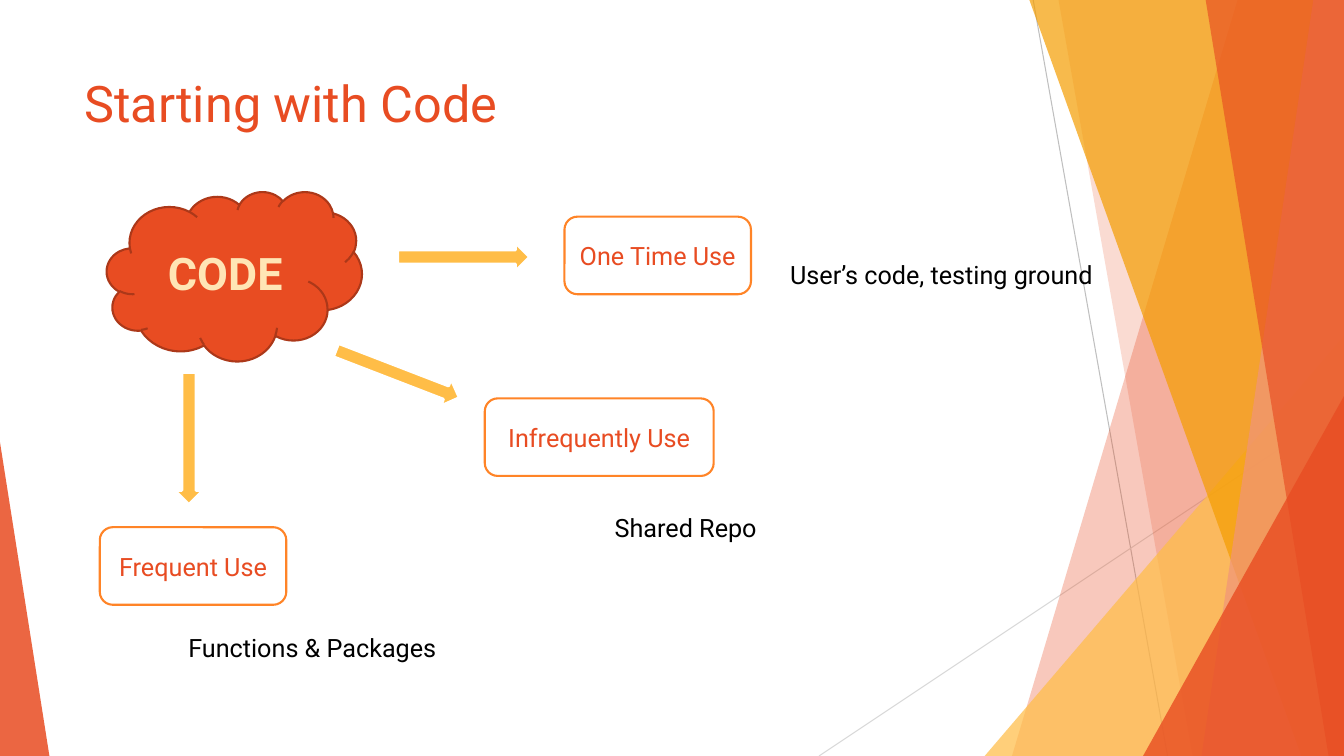
import pptx
import pptx.dml.color
import pptx.enum.shapes
import pptx.enum.text
import pptx.oxml.ns
import pptx.util
from dataclasses import dataclass
from typing import Any
from lxml import etree

Pt = pptx.util.Pt
Shape = pptx.enum.shapes.MSO_SHAPE
Align = pptx.enum.text.PP_ALIGN
Anchor = pptx.enum.text.MSO_ANCHOR
qn = pptx.oxml.ns.qn


@dataclass(frozen=True)
class Theme:
    font: str = "Roboto"
    title_size: float = 36
    cloud_size: float = 32
    body_size: float = 18
    red: str = "E84C22"
    dark_red: str = "AC3819"
    salmon: str = "F1947A"
    orange: str = "FF8427"
    amber: str = "F49D00"
    yellow: str = "FFBD47"
    cream: str = "FFE5B5"
    white: str = "FFFFFF"
    black: str = "000000"
    gray: str = "BFBFBF"
    light_gray: str = "D9D9D9"


THEME = Theme()
WIDTH, HEIGHT = 960, 540
FACET_TOP = -0.6


@dataclass(frozen=True)
class Ray:
    start: tuple[float, float]
    end: tuple[float, float]
    color: str


@dataclass(frozen=True)
class Facet:
    top_left: float
    bottom_left: float
    color: str
    opacity: int


@dataclass(frozen=True)
class Corner:
    left: float
    top: float
    width: float
    apex: float
    color: str
    opacity: int


@dataclass(frozen=True)
class Arrow:
    left: float
    top: float
    rotation: float


@dataclass(frozen=True)
class UseBox:
    text: str
    left: float
    top: float
    width: float


@dataclass(frozen=True)
class Label:
    text: str
    left: float
    top: float
    width: float
    height: float = 29
    size: float = THEME.body_size
    color: str = THEME.black


RAYS = [
    Ray((738, 0), (834, HEIGHT), THEME.gray),
    Ray((WIDTH, 290), (585, HEIGHT), THEME.light_gray),
]
DECORATION: list[Facet | Corner] = [
    Facet(884.2, 722.9, THEME.red, 30),
    Facet(756, 851.8, THEME.red, 20),
    Corner(703.4, 239.8, 256.6, 1, THEME.yellow, 72),
    Facet(735.1, 929.5, THEME.amber, 70),
    Facet(938.2, 858.2, THEME.salmon, 70),
    Facet(861.1, 949, THEME.red, 65),
    Corner(816.5, 283, 143.5, 1, THEME.red, 80),
    Corner(0, 316, 35.3, 0, THEME.red, 85),
]
ARROWS = [Arrow(284, 173.5, 0), Arrow(87.8, 303.1, 90), Arrow(236.9, 257, 21.1)]
USE_BOXES = [
    UseBox("Infrequently Use", 346.3, 284.6, 163.5),
    UseBox("One Time Use", 403.2, 154.8, 133.2),
    UseBox("Frequent Use", 71.3, 376.6, 133.2),
]
LABELS = [
    Label("Starting with Code", 53.3, 48.2, 676.8, 103.7, THEME.title_size, THEME.red),
    Label("Functions & Packages", 127.4, 447.8, 252.7),
    Label("Shared Repo", 432, 362.2, 125.3),
    Label("User’s code, testing ground", 557.3, 181.4, 252.7),
]


def rgb(color: str) -> Any:
    return pptx.dml.color.RGBColor.from_string(color)


def paint(shape: Any, fill: str, line: str | None = None, width: float = 0) -> None:
    shape.shadow.inherit = False
    shape.fill.solid()
    shape.fill.fore_color.rgb = rgb(fill)
    if line is None:
        shape.line.fill.background()
    else:
        shape.line.color.rgb = rgb(line)
        shape.line.width = Pt(width)


def set_opacity(shape: Any, percent: int) -> None:
    color = shape.element.spPr.find(qn("a:solidFill")).find(qn("a:srgbClr"))
    etree.SubElement(color, qn("a:alpha")).set("val", str(percent * 1000))


def add_shape(page: Any, kind: Any, left: float, top: float, width: float, height: float) -> Any:
    return page.shapes.add_shape(kind, Pt(left), Pt(top), Pt(width), Pt(height))


def write(shape: Any, text: str, size: float, color: str) -> Any:
    shape.text_frame.word_wrap = True
    para = shape.text_frame.paragraphs[0]
    para.text = text
    span = para.runs[0]
    span.font.name = THEME.font
    span.font.size = Pt(size)
    span.font.color.rgb = rgb(color)
    return span


def center(shape: Any) -> None:
    shape.text_frame.vertical_anchor = Anchor.MIDDLE
    shape.text_frame.paragraphs[0].alignment = Align.CENTER


def draw_ray(page: Any, ray: Ray) -> None:
    line = page.shapes.add_connector(
        pptx.enum.shapes.MSO_CONNECTOR.STRAIGHT, *map(Pt, ray.start + ray.end))
    line.line.color.rgb = rgb(ray.color)
    line.line.width = Pt(0.75)
    etree.SubElement(line.element.spPr, qn("a:effectLst"))


def draw_decoration(page: Any, item: Facet | Corner) -> None:
    if isinstance(item, Facet):
        outline = page.shapes.build_freeform(Pt(item.top_left), Pt(FACET_TOP))
        corners = [(WIDTH, FACET_TOP), (WIDTH, HEIGHT), (item.bottom_left, HEIGHT)]
        outline.add_line_segments([(Pt(x), Pt(y)) for x, y in corners], close=True)
        shape = outline.convert_to_shape()
    else:
        shape = add_shape(page, Shape.ISOSCELES_TRIANGLE, item.left, item.top,
                          item.width, HEIGHT - item.top)
        shape.adjustments[0] = item.apex
    paint(shape, item.color)
    set_opacity(shape, item.opacity)


def draw_cloud(page: Any) -> None:
    cloud = add_shape(page, Shape.CLOUD, 76.3, 136.8, 182.2, 121)
    paint(cloud, THEME.red, THEME.dark_red, 1.5)
    span = write(cloud, "CODE", THEME.cloud_size, THEME.cream)
    span.font.bold = True
    center(cloud)
    outline = etree.Element(qn("a:ln"), w=str(Pt(1.75)))
    fill = etree.SubElement(outline, qn("a:solidFill"))
    etree.SubElement(fill, qn("a:srgbClr"), val=THEME.yellow)
    span.font._element.insert(0, outline)


def draw_arrow(page: Any, arrow: Arrow) -> None:
    shape = add_shape(page, Shape.RIGHT_ARROW, arrow.left, arrow.top, 94.3, 20.2)
    shape.rotation = arrow.rotation
    paint(shape, THEME.yellow, THEME.white, 2)


def draw_use_box(page: Any, use: UseBox) -> None:
    box = add_shape(page, Shape.FLOWCHART_ALTERNATE_PROCESS, use.left, use.top, use.width, 55.4)
    paint(box, THEME.white, THEME.orange, 1.5)
    write(box, use.text, THEME.body_size, THEME.red)
    center(box)


def draw_label(page: Any, label: Label) -> None:
    box = page.shapes.add_textbox(
        *map(Pt, (label.left, label.top, label.width, label.height)))
    write(box, label.text, label.size, label.color)


def main() -> None:
    deck = pptx.Presentation()
    deck.slide_width, deck.slide_height = Pt(WIDTH), Pt(HEIGHT)
    page = deck.slides.add_slide(deck.slide_layouts[6])
    for ray in RAYS:
        draw_ray(page, ray)
    for item in DECORATION:
        draw_decoration(page, item)
    draw_cloud(page)
    for arrow in ARROWS:
        draw_arrow(page, arrow)
    for use in USE_BOXES:
        draw_use_box(page, use)
    for label in LABELS:
        draw_label(page, label)
    deck.save("out.pptx")


if __name__ == "__main__":
    main()
